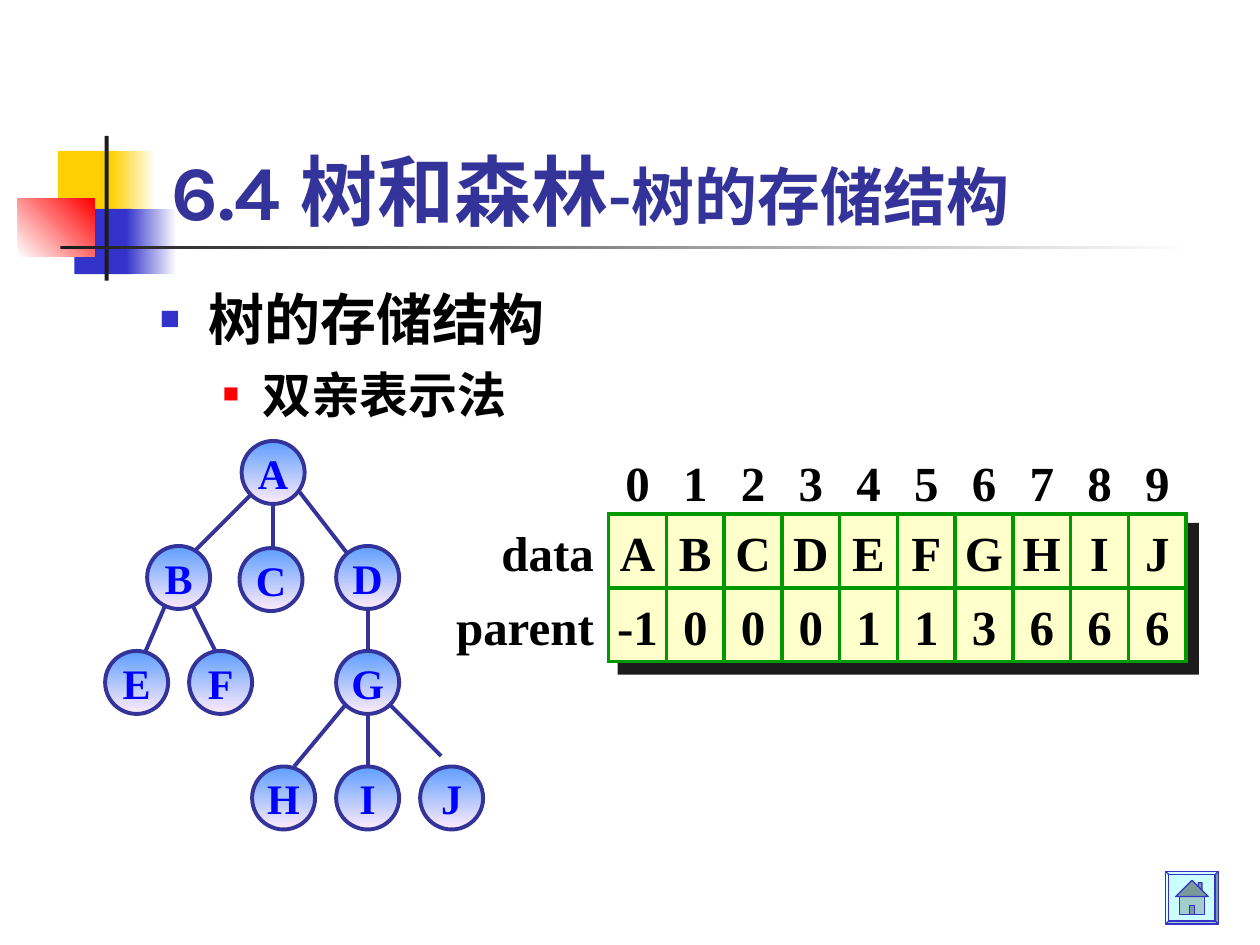
from collections import namedtuple

from lxml import etree
from pptx import Presentation
from pptx.dml.color import RGBColor
from pptx.enum.shapes import MSO_CONNECTOR as Connector
from pptx.enum.shapes import MSO_SHAPE as Preset
from pptx.enum.text import MSO_ANCHOR as Anchor
from pptx.enum.text import MSO_AUTO_SIZE as AutoSize
from pptx.enum.text import PP_ALIGN as Align
from pptx.oxml.ns import qn
from pptx.util import Cm, Pt

Box = namedtuple("Box", "left top width height")  # centimetres

YELLOW = RGBColor(0xFF, 0xCF, 0x01)
BLUE = RGBColor(0x33, 0x33, 0xCC)
RED = RGBColor(0xFF, 0x00, 0x00)
WHITE = RGBColor(0xFF, 0xFF, 0xFF)
BLACK = RGBColor(0x00, 0x00, 0x00)
CHARCOAL = RGBColor(0x1C, 0x1C, 0x1C)
NAVY = RGBColor(0x33, 0x33, 0x99)
NODE_TOP = RGBColor(0x5E, 0x9E, 0xFF)
NODE_BOTTOM = RGBColor(0xFF, 0xEB, 0xFA)
NODE_TEXT = RGBColor(0x00, 0x00, 0xFF)
CREAM = RGBColor(0xFF, 0xFF, 0xCC)
GREEN = RGBColor(0x00, 0x99, 0x00)
ICE = RGBColor(0xCC, 0xFF, 0xFF)
HOUSE_WALL = RGBColor(0xA3, 0xCC, 0xCC)
HOUSE_ROOF = RGBColor(0x7A, 0x99, 0x99)

SERIF = "Times New Roman"
NO_TABLE_STYLE = "{2D5ABB26-0587-4C30-8999-92F81FD0307C}"

GRID = 2.54 / 12  # step of the tree's drawing grid in centimetres
NODE_SIZE = 6
NODES = {
    "A": (13, 0), "B": (4, 10), "C": (12.8, 10.2), "D": (22, 10), "E": (0, 20),
    "F": (8, 20), "G": (22, 20), "H": (14, 31), "I": (22, 31), "J": (30, 31),
}
EDGES = [
    (14, 5, 8, 11), (16, 5, 16, 11), (18, 4.2, 25, 13.2),
    (6, 15, 3, 22), (8, 15, 11, 21), (25, 15, 25, 22),
    (23, 25, 18, 31), (25, 26, 25, 31), (27, 25, 32, 30),
]
PARENTS = ["-1", "0", "0", "0", "1", "1", "3", "6", "6", "6"]


def add_text(paragraph, text, font=SERIF, size=28, color=BLACK, bold=True, align=None):
    run = paragraph.add_run()
    run.text = text
    run.font.name = font
    run.font.size = Pt(size)
    run.font.bold = bold
    run.font.color.rgb = color
    if align is not None:
        paragraph.alignment = align


def paint(shape, fill, line=None, width=0.75, angle=0):
    """Fill with one colour, or with a gradient when given a list of two."""
    shape.shadow.inherit = False
    if isinstance(fill, list):
        shape.fill.gradient()
        shape.fill.gradient_angle = angle
        for stop, color in zip(shape.fill.gradient_stops, fill):
            stop.color.rgb = color
    else:
        shape.fill.solid()
        shape.fill.fore_color.rgb = fill
    if line is None:
        shape.line.fill.background()
    else:
        shape.line.color.rgb = line
        shape.line.width = Pt(width)


def add_preset(shapes, preset, box, fill, **style):
    shape = shapes.add_shape(preset, *map(Cm, box))
    paint(shape, fill, **style)
    return shape


def place(shape, box):
    shape.left, shape.top, shape.width, shape.height = map(Cm, box)


def add_ornament(shapes, box):
    parts = [
        (0.81, 0.3, 1.22, 1.32, YELLOW, 0),
        (1.88, 0.3, 0.91, 1.32, [YELLOW, WHITE], 0),
        (1.14, 1.47, 1.17, 1.32, BLUE, 0),
        (2.18, 1.47, 1.02, 1.32, [BLUE, WHITE], 0),
        (0, 1.27, 1.55, 1.17, [WHITE, RED], 45),
        (1.75, 0, 0.08, box.height, CHARCOAL, 0),
        (0.86, 2.21, box.width - 0.86, 0.08, [CHARCOAL, WHITE], 0),
    ]
    for x, y, width, height, fill, angle in parts:
        part = Box(box.left + x, box.top + y, width, height)
        add_preset(shapes, Preset.RECTANGLE, part, fill, angle=angle)


def fill_title(title, box):
    place(title, box)
    frame = title.text_frame
    frame.auto_size = AutoSize.NONE
    frame.vertical_anchor = Anchor.BOTTOM
    paragraph = frame.paragraphs[0]
    add_text(paragraph, "6.4 树和森林", font="Karla", size=44, color=NAVY, align=Align.LEFT)
    add_text(paragraph, "-树的存储结构", font="Karla", size=36, color=NAVY)


def set_bullet(paragraph, color, percent, margin, hanging):
    properties = paragraph._p.get_or_add_pPr()
    properties.set("marL", str(Cm(margin)))
    properties.set("indent", str(-Cm(hanging)))
    bullet_color = etree.SubElement(properties, qn("a:buClr"))
    etree.SubElement(bullet_color, qn("a:srgbClr"), val=str(color))
    etree.SubElement(properties, qn("a:buSzPct"), val=str(percent * 1000))
    etree.SubElement(properties, qn("a:buChar"), char="■")


def fill_outline(body, box):
    place(body, box)
    frame = body.text_frame
    frame.auto_size = AutoSize.NONE
    items = [
        ("树的存储结构", 32, 8, BLUE, 60, 0.97, 0.97),
        ("双亲表示法", 28, 7, RED, 55, 2.06, 0.79),
    ]
    for level, (text, size, space, color, percent, margin, hanging) in enumerate(items):
        paragraph = frame.add_paragraph() if level else frame.paragraphs[0]
        paragraph.level = level
        paragraph.space_before = Pt(space)
        set_bullet(paragraph, color, percent, margin, hanging)
        add_text(paragraph, text, font="Karla", size=size)


def add_tree(shapes, left, top):
    group = shapes.add_group_shape().shapes

    def at(x, y):
        return left + x * GRID, top + y * GRID

    for x1, y1, x2, y2 in EDGES:
        ends = map(Cm, at(x1, y1) + at(x2, y2))
        edge = group.add_connector(Connector.STRAIGHT, *ends)
        edge.line.color.rgb = NAVY
        edge.line.width = Pt(2.25)
        etree.SubElement(edge.element.spPr, qn("a:effectLst"))
    size = NODE_SIZE * GRID
    for name, corner in NODES.items():
        node = add_preset(group, Preset.OVAL, Box(*at(*corner), size, size),
                          [NODE_TOP, NODE_BOTTOM], line=NAVY, width=2.25, angle=270)
        frame = node.text_frame
        frame.word_wrap = False
        frame.vertical_anchor = Anchor.MIDDLE
        add_text(frame.paragraphs[0], name, size=24, color=NODE_TEXT, align=Align.CENTER)


def add_borders(cell, color, width):
    properties = cell._tc.get_or_add_tcPr()
    for side in ("a:lnL", "a:lnR", "a:lnT", "a:lnB"):
        line = etree.SubElement(properties, qn(side), w=str(Pt(width)))
        fill = etree.SubElement(line, qn("a:solidFill"))
        etree.SubElement(fill, qn("a:srgbClr"), val=str(color))


def add_parent_table(shapes, box, label_width, row_heights):
    """Index row and label column stand outside the framed grid."""
    rows = [
        ["", *map(str, range(len(NODES)))],
        ["data", *NODES],
        ["parent", *PARENTS],
    ]
    index_height = row_heights[0]
    grid_width = box.width - label_width
    add_preset(shapes, Preset.RECTANGLE,
               Box(box.left + label_width + 0.18, box.top + index_height + 0.18,
                   grid_width + 0.08, box.height - index_height + 0.08), CHARCOAL)
    graphic = shapes.add_table(len(rows), len(rows[0]), *map(Cm, box))
    table = graphic.table
    table.first_row = table.horz_banding = False
    graphic.element.find(".//" + qn("a:tableStyleId")).text = NO_TABLE_STYLE
    for index, column in enumerate(table.columns):
        column.width = Cm(grid_width / len(NODES) if index else label_width)
    for row, height in zip(table.rows, row_heights):
        row.height = Cm(height)
    for r, texts in enumerate(rows):
        for c, text in enumerate(texts):
            cell = table.cell(r, c)
            cell.vertical_anchor = Anchor.MIDDLE
            cell.margin_left = cell.margin_bottom = 0
            cell.margin_top = Cm(0.15)
            cell.margin_right = Cm(0 if c else 0.3)
            if r and c:
                add_borders(cell, GREEN, 2.25)
                cell.fill.solid()
                cell.fill.fore_color.rgb = CREAM
            else:
                cell.fill.background()
            if text:
                add_text(cell.text_frame.paragraphs[0], text,
                         align=Align.CENTER if c else Align.RIGHT)


def add_home_button(shapes, box):
    frame = add_preset(shapes, Preset.BEVEL, box, ICE, line=BLUE)
    frame.adjustments[0] = 0.06
    unit = Cm(box.width) / 42
    outlines = [
        (HOUSE_ROOF, [(26, 9), (29, 9), (29, 16), (26, 13)]),
        (HOUSE_WALL, [(11, 20), (31, 20), (31, 34), (11, 34)]),
        (HOUSE_ROOF, [(21, 7), (34, 20), (8, 20)]),
        (HOUSE_ROOF, [(19, 27), (23, 27), (23, 34), (19, 34)]),
    ]
    for color, points in outlines:
        corners = [(Cm(box.left) + x * unit, Cm(box.top) + y * unit) for x, y in points]
        builder = shapes.build_freeform(*map(int, corners[0]))
        builder.add_line_segments(corners[1:], close=True)
        paint(builder.convert_to_shape(), color, line=BLUE)


def main():
    presentation = Presentation()
    presentation.slide_width, presentation.slide_height = Cm(25.4), Cm(19.05)
    slide = presentation.slides.add_slide(presentation.slide_layouts[1])
    shapes = slide.shapes
    title, body = shapes.title, slide.placeholders[1]
    add_ornament(shapes, Box(0.36, 2.74, 23.72, 2.92))
    for placeholder in (title, body):  # bring the text in front of the ornament
        shapes.element.append(placeholder.element)
    fill_title(title, Box(3.2, 1.7, 21.64, 3.18))
    fill_outline(body, Box(2.97, 5.61, 22.02, 12.17))
    add_home_button(shapes, Box(23.5, 17.57, 1.06, 1.06))
    add_tree(shapes, 2.12, 8.89)
    add_parent_table(shapes, Box(8.77, 9.04, 15.14, 4.3), 3.5, (1.32, 1.49, 1.49))
    presentation.save("out.pptx")


if __name__ == "__main__":
    main()
